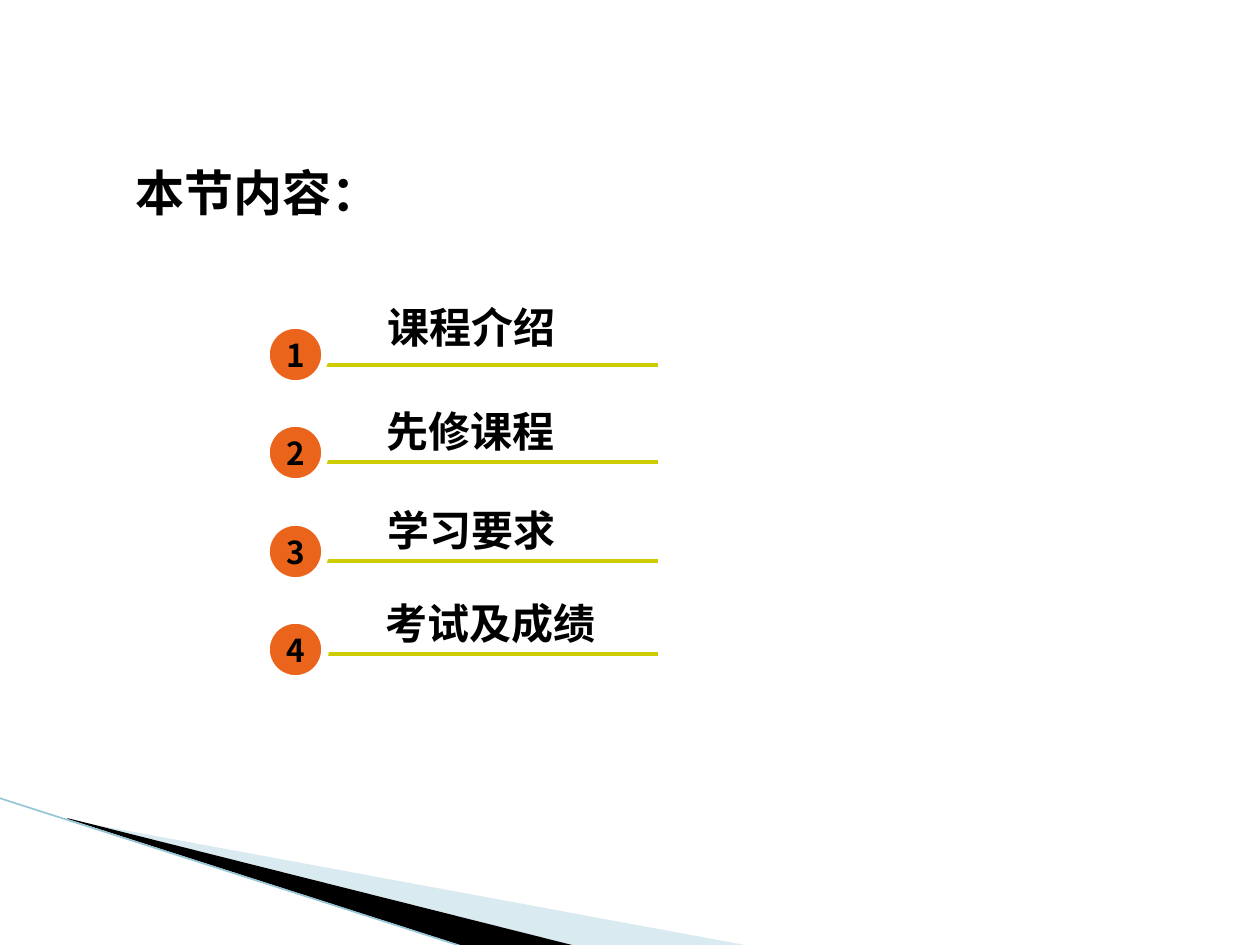
from pptx import Presentation
from pptx.dml.color import RGBColor
from pptx.enum.shapes import MSO_CONNECTOR, MSO_SHAPE
from pptx.enum.text import MSO_ANCHOR, MSO_AUTO_SIZE, PP_ALIGN
from pptx.oxml.ns import qn
from pptx.util import Emu, Inches, Pt
from lxml.etree import SubElement

SCALE = 914400 / 126
FONT = "Noto Sans CJK SC"


def px(n):
    return Emu(round(n * SCALE))


def color(code):
    return RGBColor.from_string(code)


class Deck:
    def __init__(self, slide):
        self.slide = slide
        self.shapes = slide.shapes

    def style(self, frame, size):
        for para in frame.paragraphs:
            for run in para.runs:
                font = run.font
                font.size, font.bold, font.name = Pt(size), True, FONT
                font.color.rgb = color("000000")
                SubElement(font._element, qn("a:ea"), typeface=FONT)

    def wedge(self, points, fill, alpha=None):
        pen = self.shapes.build_freeform(*points[0], scale=SCALE)
        pen.add_line_segments(points[1:], close=True)
        shape = pen.convert_to_shape()
        shape.shadow.inherit = False
        shape.fill.solid()
        shape.fill.fore_color.rgb = color(fill)
        shape.line.fill.background()
        if alpha:
            tone = shape._element.spPr.find(".//" + qn("a:srgbClr"))
            SubElement(tone, qn("a:alpha"), val=str(alpha * 1000))

    def line(self, start, end, tint, width):
        ends = [px(n) for n in (*start, *end)]
        line = self.shapes.add_connector(MSO_CONNECTOR.STRAIGHT, *ends)
        line.line.color.rgb = color(tint)
        line.line.width = Pt(width)
        SubElement(line._element.spPr, qn("a:effectLst"))

    def badge(self, left, top, size, text):
        box = [px(n) for n in (left, top, size, size)]
        shape = self.shapes.add_shape(MSO_SHAPE.OVAL, *box)
        shape.shadow.inherit = False
        shape.fill.solid()
        shape.fill.fore_color.rgb = color("EB641B")
        shape.line.color.rgb = color("FFFFFF")
        shape.line.width = Pt(4.33)
        frame = shape.text_frame
        frame.margin_left = frame.margin_right = 0
        frame.margin_top = frame.margin_bottom = 0
        frame.word_wrap = False
        frame.vertical_anchor = MSO_ANCHOR.MIDDLE
        frame.text = text
        frame.paragraphs[0].alignment = PP_ALIGN.CENTER
        self.style(frame, 18)

    def text(self, left, top, width, height, text, size, wrap=False):
        box = [px(n) for n in (left, top, width, height)]
        frame = self.shapes.add_textbox(*box).text_frame
        frame.word_wrap = wrap
        if not wrap:
            frame.auto_size = MSO_AUTO_SIZE.SHAPE_TO_FIT_TEXT
        frame.text = text
        self.style(frame, size)
        return frame


def main():
    show = Presentation()
    show.slide_width, show.slide_height = Inches(10), Inches(7.5)
    deck = Deck(show.slides.add_slide(show.slide_layouts[6]))

    deck.wedge([(69, 820), (750, 946), (575, 946), (69, 819)], "A0CBDC", 40)
    deck.wedge([(67, 818), (576, 946), (469, 948), (68, 819)], "000000")
    deck.line((-1, 798), (467, 948), "97C5D8", 0.95)

    title = deck.text(102, 156, 587, 71, "本节内容：", 28, wrap=True)
    title.margin_left = px(34)

    # label, its left and top, and the height of the rule below it
    items = [
        ("课程介绍", 375, 295, 365),
        ("先修课程", 374, 399, 462),
        ("学习要求", 375, 498, 561),
        ("考试及成绩", 373, 591, 654),
    ]
    for i, (label, left, top, rule) in enumerate(items):
        deck.line((295, rule), (658, rule), "CCCC00", 2.25)
        deck.badge(266, 325 + round(i * 98.3), 59, str(i + 1))
        deck.text(left, top, 27 + 42 * len(label), 64, label, 24)

    show.save("out.pptx")


if __name__ == "__main__":
    main()
